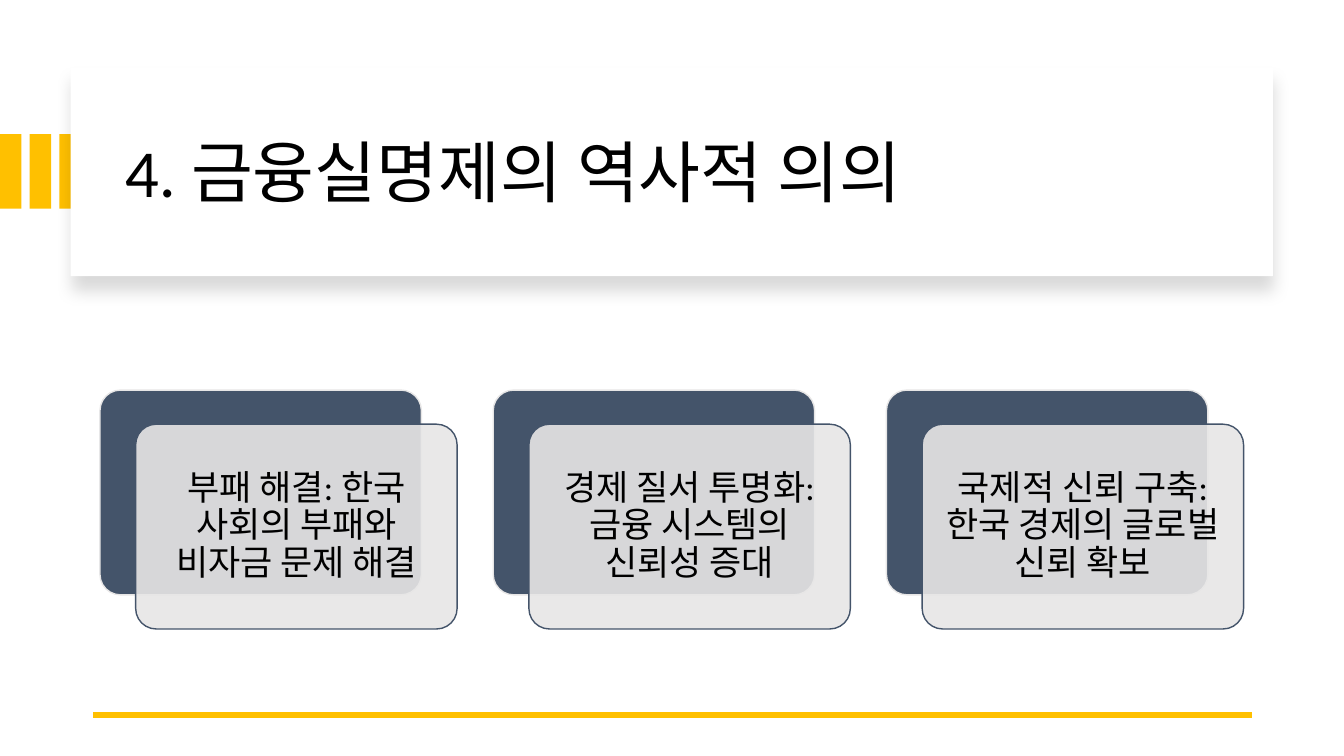
from lxml import etree
from pptx import Presentation
from pptx.dml.color import RGBColor
from pptx.enum.shapes import MSO_CONNECTOR, MSO_SHAPE
from pptx.enum.text import MSO_ANCHOR, PP_ALIGN
from pptx.oxml.ns import qn
from pptx.util import Cm, Pt

RECT = MSO_SHAPE.RECTANGLE
ROUND = MSO_SHAPE.ROUNDED_RECTANGLE
STRAIGHT = MSO_CONNECTOR.STRAIGHT
MIDDLE = MSO_ANCHOR.MIDDLE
LEFT = PP_ALIGN.LEFT
CENTER = PP_ALIGN.CENTER

FONT = "Calibri"
GOLD = "FFC000"
NAVY = "44546A"
GRAY = "E7E6E6"
WHITE = "FFFFFF"
BLACK = "000000"

TITLE = "4. 금융실명제의 역사적 의의"
POINTS = [
    "부패 해결: 한국 사회의 부패와 비자금 문제 해결",
    "경제 질서 투명화: 금융 시스템의 신뢰성 증대",
    "국제적 신뢰 구축: 한국 경제의 글로벌 신뢰 확보",
]


def paint(color, tone):
    color.rgb = RGBColor.from_string(tone)


def add_box(slide, kind, left, top, width, height, fill, edge=None):
    box = slide.shapes.add_shape(kind, Cm(left), Cm(top), Cm(width), Cm(height))
    box.shadow.inherit = False
    box.fill.solid()
    paint(box.fill.fore_color, fill)
    if edge:
        paint(box.line.color, edge)
        box.line.width = Pt(1)
    else:
        box.line.fill.background()
    return box


def add_alpha(color, percent):
    etree.SubElement(color, qn("a:alpha"), val=str(percent * 1000))


def drop_shadow(box):
    effects = box._element.spPr.find(qn("a:effectLst"))
    shadow = etree.SubElement(
        effects, qn("a:outerShdw"), blurRad=str(Pt(11)), dist=str(Pt(10)),
        dir="5400000", algn="t", rotWithShape="0")
    add_alpha(etree.SubElement(shadow, qn("a:srgbClr"), val=BLACK), 15)


def write(shape, text, size, align):
    frame = shape.text_frame
    frame.word_wrap = True
    frame.vertical_anchor = MIDDLE
    frame.margin_left = frame.margin_right = Cm(0.25)
    frame.margin_top = frame.margin_bottom = Cm(0.25)
    para = frame.paragraphs[0]
    para.text = text
    para.alignment = align
    para.line_spacing = 0.9
    para.font.name = FONT
    para.font.size = Pt(size)
    paint(para.font.color, BLACK)


def add_header(slide):
    for i in range(3):
        add_box(slide, RECT, 0.75 * i, 3.38, 0.54, 1.88, GOLD)
    drop_shadow(add_box(slide, RECT, 1.78, 1.7, 30.3, 5.26, WHITE))
    title = slide.shapes.add_textbox(Cm(2.9), Cm(2.26), Cm(28.27), Cm(4.32))
    write(title, TITLE, 48, LEFT)


def add_rule(slide):
    rule = slide.shapes.add_connector(
        STRAIGHT, Cm(31.55), Cm(18.01), Cm(2.34), Cm(18.01))
    paint(rule.line.color, GOLD)
    rule.line.width = Pt(4.5)
    etree.SubElement(rule._element.spPr, qn("a:effectLst"))


def add_card(slide, left, text):
    top, width, height = 9.83, 8.1, 5.16
    back = add_box(slide, ROUND, left, top, width, height, NAVY, GRAY)
    front = add_box(
        slide, ROUND, left + 0.9, top + 0.86, width, height, GRAY, NAVY)
    for card in (back, front):
        card.adjustments[0] = 0.1
    fill = front._element.spPr.find(qn("a:solidFill"))
    add_alpha(fill[0], 90)
    write(front, text, 25, CENTER)


def main():
    deck = Presentation()
    deck.slide_width = Cm(33.87)
    deck.slide_height = Cm(19.05)
    slide = deck.slides.add_slide(deck.slide_layouts[6])
    add_header(slide)
    add_rule(slide)
    for i, text in enumerate(POINTS):
        add_card(slide, 2.52 + 9.91 * i, text)
    deck.save("out.pptx")


if __name__ == "__main__":
    main()
